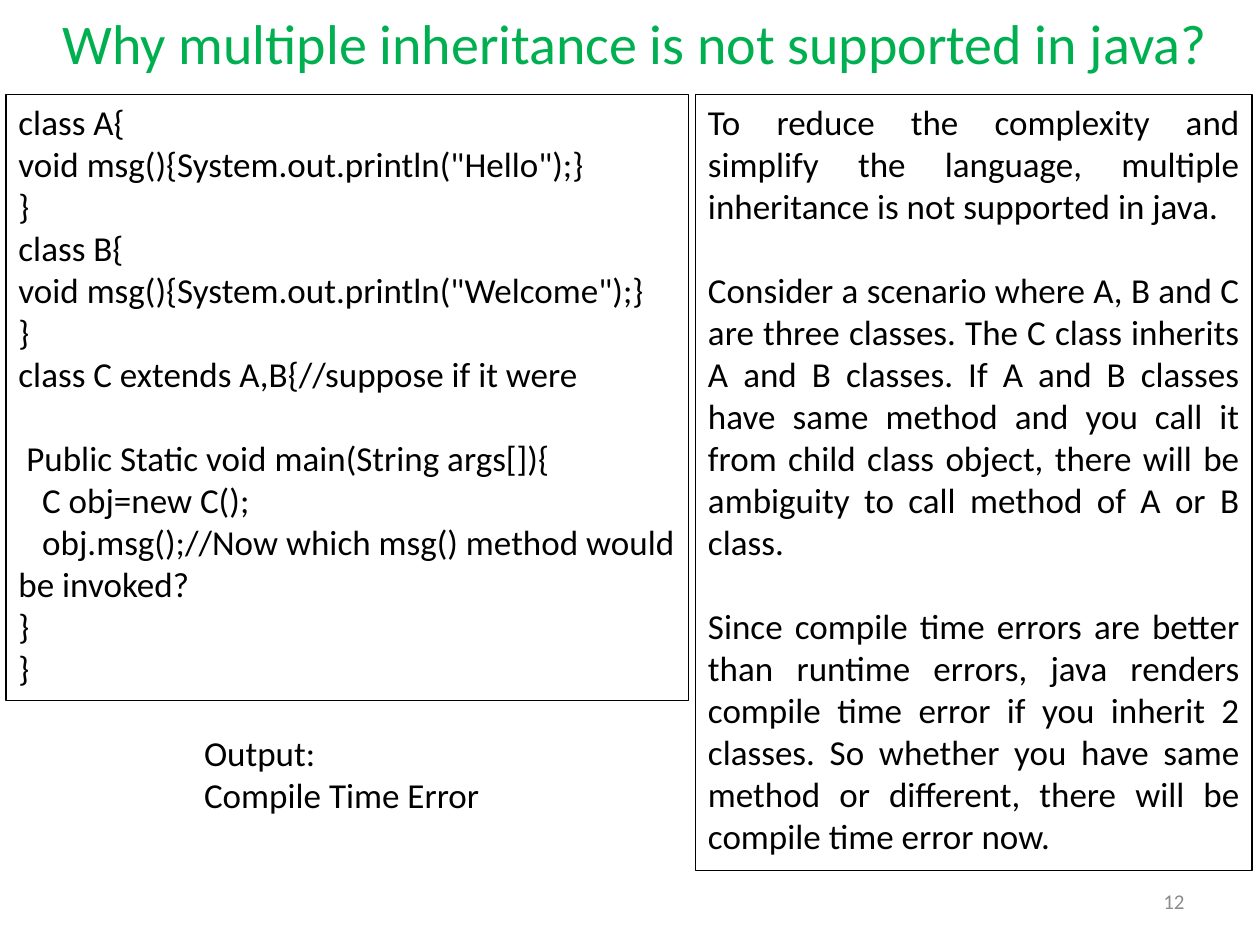
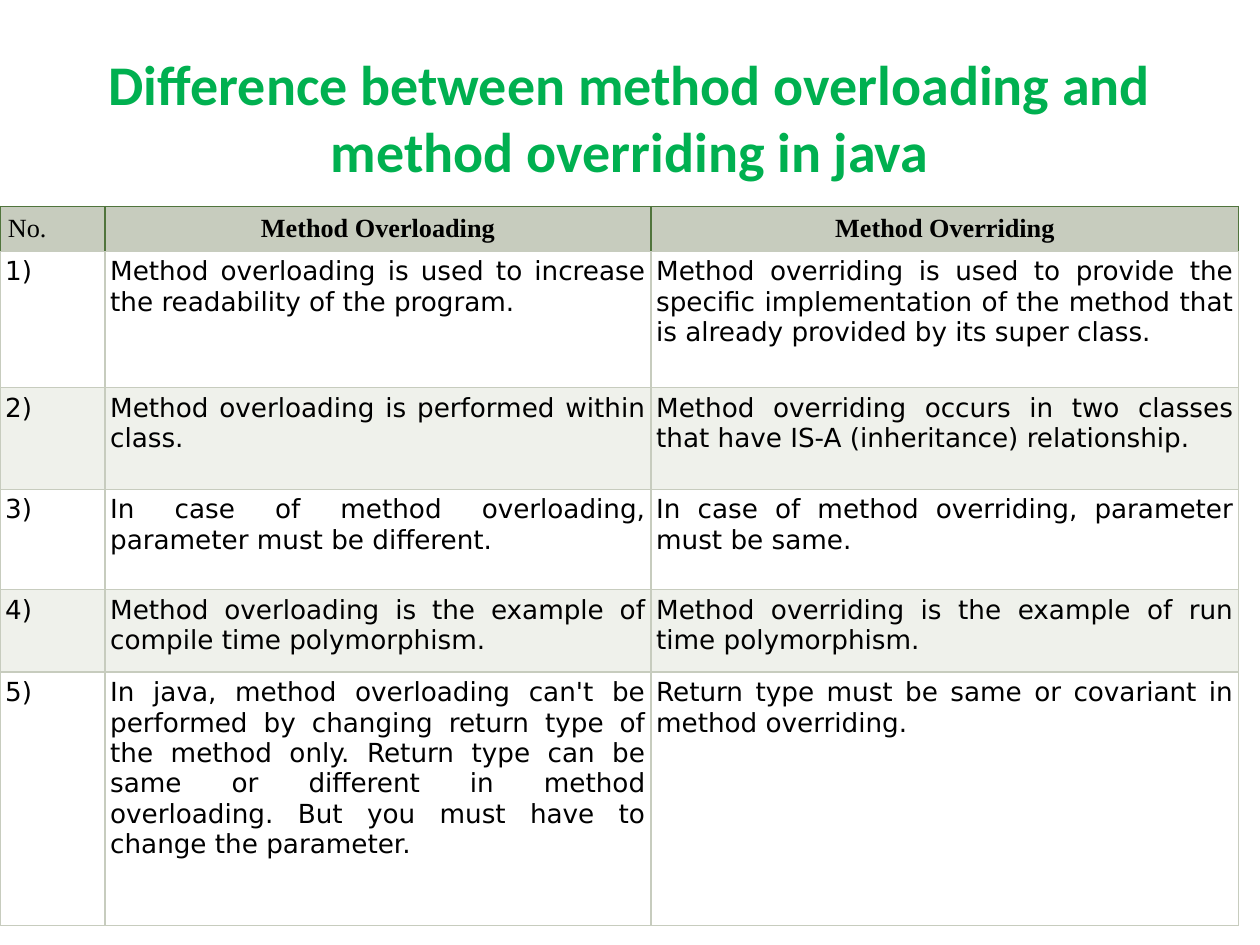
from lxml import etree
from pptx import Presentation
from pptx.dml.color import RGBColor
from pptx.enum.shapes import MSO_SHAPE
from pptx.enum.text import MSO_ANCHOR, MSO_AUTO_SIZE, PP_ALIGN
from pptx.oxml.ns import qn
from pptx.util import Pt

GREEN = RGBColor(0x00, 0xB0, 0x50)
DARK_GREEN = RGBColor(0x50, 0x74, 0x3C)
SAGE = RGBColor(0xC7, 0xCC, 0xBE)
PALE_SAGE = RGBColor(0xEF, 0xF1, 0xEB)
WHITE = RGBColor(0xFF, 0xFF, 0xFF)
BLACK = RGBColor(0x00, 0x00, 0x00)
GREY = RGBColor(0x8C, 0x8C, 0x8C)

BODY_FONT = "Calibri"
HEADER_FONT = "Times New Roman"
CELL_FONT = "DejaVu Sans"
HARD_SPACE = " "

INHERITANCE_CODE = """class A{
void msg(){System.out.println("Hello");}
}
class B{
void msg(){System.out.println("Welcome");}
}
class C extends A,B{//suppose if it were
 Public Static void main(String args[]){
   C obj=new C();
   obj.msg();//Now which msg() method would be invoked?
}
}""".replace(" ", HARD_SPACE).split("\n")
MAIN_LINE = 7

EXPLANATION = [
    "To reduce the complexity and simplify the language, multiple inheritance is not supported in java.",
    "Consider a scenario where A, B and C are three classes. The C class inherits A and B classes. "
    "If A and B classes have same method and you call it from child class object, there will be "
    "ambiguity to call method of A or B class.",
    "Since compile time errors are better than runtime errors, java renders compile time error if "
    "you inherit 2 classes. So whether you have same method or different, there will be compile "
    "time error now.",
]

COMPARISON = [
    ("No.", "Method Overloading", "Method Overriding"),
    ("1)", "Method overloading is used to increase the readability of the program.",
     "Method overriding is used to provide the specific implementation of the method "
     "that is already provided by its super class."),
    ("2)", "Method overloading is performed within class.",
     "Method overriding occurs in two classes that have IS-A (inheritance) relationship."),
    ("3)", "In case of method overloading, parameter must be different.",
     "In case of method overriding, parameter must be same."),
    ("4)", "Method overloading is the example of compile time polymorphism.",
     "Method overriding is the example of run time polymorphism."),
    ("5)", "In java, method overloading can't be performed by changing return type of the "
     "method only. Return type can be same or different in method overloading. "
     "But you must have to change the parameter.",
     "Return type must be same or covariant in method overriding."),
]


class Deck:
    def __init__(self):
        self.presentation = Presentation()
        self.presentation.slide_width = Pt(720)
        self.presentation.slide_height = Pt(540)
        self.slide = None

    def start_slide(self, heading, number, left, top, width, height, bold=False):
        self.slide = self.presentation.slides.add_slide(self.presentation.slide_layouts[5])
        title = self.slide.shapes.title
        title.left, title.top, title.width, title.height = map(Pt, (left, top, width, height))
        self.set_lines(title.text_frame, [heading], 32, GREEN, PP_ALIGN.CENTER, MSO_ANCHOR.MIDDLE, bold)
        self.text(516, 500.5, 168, 28.75, [number], 12, GREY, PP_ALIGN.RIGHT)

    def set_lines(self, frame, lines, size, color, align, anchor, bold=False, gaps=()):
        frame.word_wrap = True
        frame.auto_size = MSO_AUTO_SIZE.NONE
        frame.vertical_anchor = anchor
        for index, line in enumerate(lines):
            paragraph = frame.paragraphs[0] if index == 0 else frame.add_paragraph()
            self.fill_paragraph(paragraph, line, size, color, align, bold, BODY_FONT)
            if index in gaps:
                paragraph.space_before = Pt(24)

    def fill_paragraph(self, paragraph, line, size, color, align, bold, font):
        paragraph.text = line
        paragraph.alignment = align
        paragraph.font.size = Pt(size)
        paragraph.font.name = font
        paragraph.font.bold = bold
        paragraph.font.color.rgb = color

    def text(self, left, top, width, height, lines, size=20, color=BLACK, align=PP_ALIGN.LEFT):
        box = self.slide.shapes.add_textbox(*map(Pt, (left, top, width, height)))
        self.set_lines(box.text_frame, lines, size, color, align, MSO_ANCHOR.MIDDLE)

    def panel(self, left, top, width, height, lines, align, gaps):
        panel = self.slide.shapes.add_shape(MSO_SHAPE.RECTANGLE, *map(Pt, (left, top, width, height)))
        panel.shadow.inherit = False
        panel.fill.background()
        panel.line.color.rgb = BLACK
        panel.line.width = Pt(0.75)
        self.set_lines(panel.text_frame, lines, 20, BLACK, align, MSO_ANCHOR.TOP, gaps=gaps)

    def table(self, left, top, widths, heights, rows):
        frame = self.slide.shapes.add_table(
            len(rows), len(widths), *map(Pt, (left, top, sum(widths), sum(heights))))
        table = frame.table
        for column, width in zip(table.columns, widths):
            column.width = Pt(width)
        for row, height in zip(table.rows, heights):
            row.height = Pt(height)
        for row_index, row in enumerate(rows):
            for column_index, entry in enumerate(row):
                self.cell(table.cell(row_index, column_index), entry, row_index, column_index)

    def cell(self, cell, entry, row, column):
        header = row == 0
        inset = Pt(4.5 if header else 3)
        cell.margin_left = cell.margin_right = cell.margin_top = cell.margin_bottom = inset
        if header:
            align = PP_ALIGN.CENTER if column else PP_ALIGN.LEFT
        else:
            align = PP_ALIGN.JUSTIFY
        self.fill_paragraph(cell.text_frame.paragraphs[0], entry, 15, BLACK, align,
                            header and column > 0, HEADER_FONT if header else CELL_FONT)
        for side in ("L", "R", "T", "B"):
            self.border(cell, side, DARK_GREEN if header and side != "B" else SAGE)
        cell.fill.solid()
        cell.fill.fore_color.rgb = SAGE if header else WHITE if row % 2 else PALE_SAGE

    def border(self, cell, side, color):
        properties = cell._tc.get_or_add_tcPr()
        line = etree.SubElement(properties, qn(f"a:ln{side}"), w=str(Pt(0.75)))
        fill = etree.SubElement(line, qn("a:solidFill"))
        etree.SubElement(fill, qn("a:srgbClr"), val=str(color))


def main():
    deck = Deck()

    deck.start_slide("Why multiple inheritance is not supported in java?", "12", 24, 1.5, 678, 45)
    deck.panel(3.5, 54, 390, 346.5, INHERITANCE_CODE, PP_ALIGN.LEFT, gaps=(MAIN_LINE,))
    deck.panel(397.5, 54, 318, 443.5, EXPLANATION, PP_ALIGN.JUSTIFY, gaps=(1, 2))
    deck.text(109.5, 414, 178, 55.5, ["Output:", "Compile Time Error"], align=PP_ALIGN.JUSTIFY)

    deck.start_slide("Difference between method overloading and method overriding in java", "19",
                     36, 21.5, 648, 90, bold=True)
    deck.table(0, 118, (60, 312, 336), (25, 78, 58, 57.5, 47, 145), COMPARISON)

    deck.presentation.save("out.pptx")


if __name__ == "__main__":
    main()
